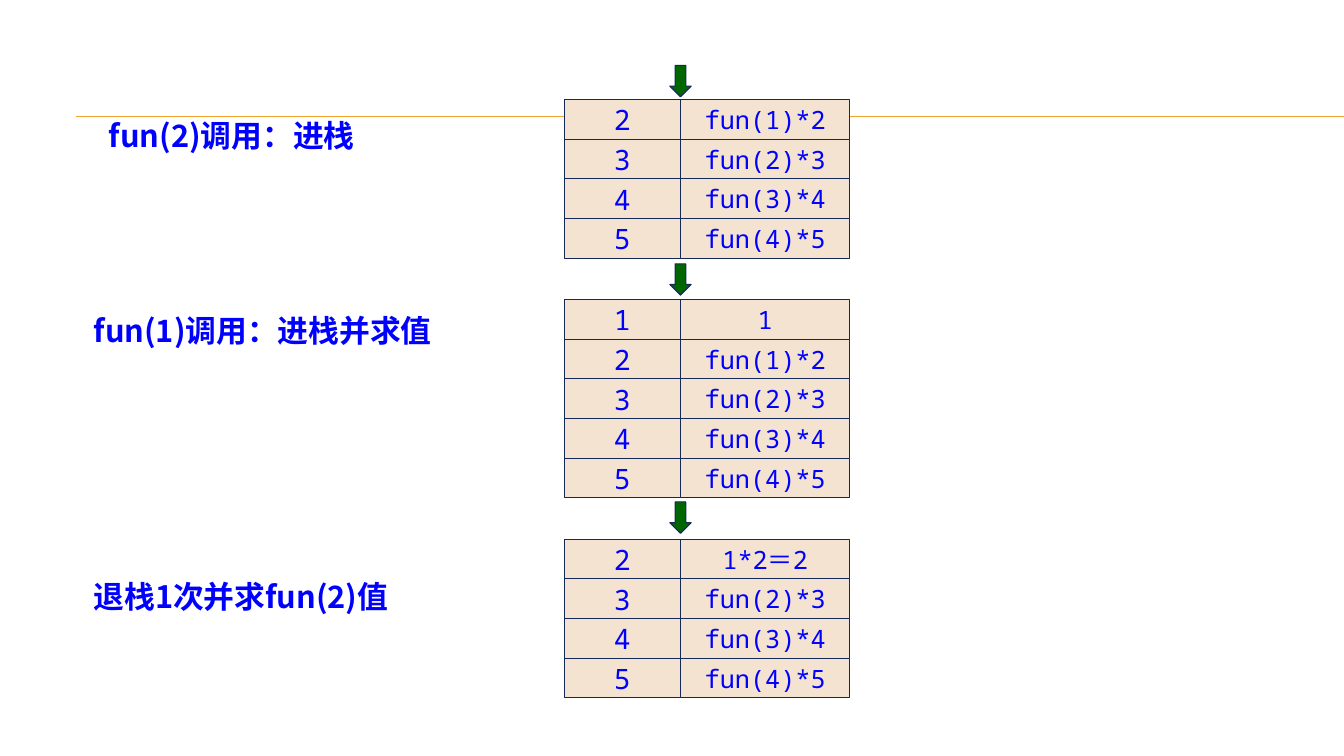
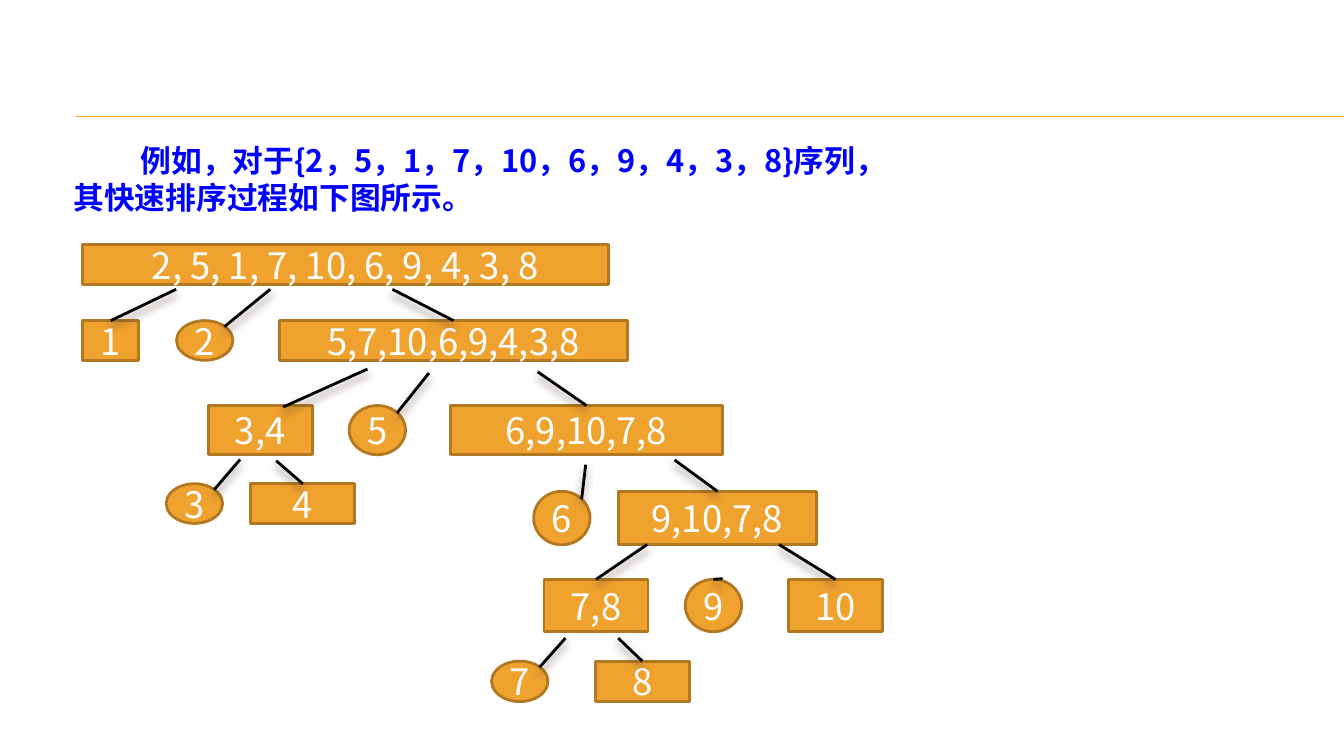
from lxml.etree import SubElement
from pptx import Presentation
from pptx.dml.color import RGBColor
from pptx.enum.shapes import MSO_CONNECTOR, MSO_SHAPE
from pptx.enum.text import MSO_ANCHOR, PP_ALIGN
from pptx.oxml import parse_xml
from pptx.oxml.ns import qn
from pptx.util import Cm, Pt

NS = 'xmlns:a="http://schemas.openxmlformats.org/drawingml/2006/main"'
SANS, MONO = "Noto Sans CJK SC", "Noto Sans Mono"
BLUE, WHITE, BLACK = "0000FF", "FFFFFF", "000000"
GOLD, BROWN, CREAM = "F0A22E", "B27822", "F5E3D1"
GREEN, NAVY, SHADE = "006600", "152958", "4E3B30"

HEAD = {"size": Pt(22), "bold": True, "name": SANS}
KEY = {"size": Pt(20), "name": MONO}
CALL = {"size": Pt(18), "name": MONO}
NODE = {"size": Pt(26), "name": SANS}
TIGHT = {"margin_left": 0, "margin_right": 0, "margin_top": 0,
         "margin_bottom": 0, "vertical_anchor": MSO_ANCHOR.MIDDLE,
         "word_wrap": False}
INSET = {"margin_left": Cm(0.3), "margin_right": Cm(0.3),
         "margin_top": Cm(0.24), "margin_bottom": Cm(0.15), "word_wrap": True}

RECT, OVAL = MSO_SHAPE.RECTANGLE, MSO_SHAPE.OVAL
PORTS = {RECT: (0.5, 0), OVAL: (0.85, 0.15)}

COL_A, COL_B, ROW = 2.93, 4.27, 1.0
STACK_X, STACK_Y, STACK_GAP = 14.22, 2.51, 1.04

BASE = [("3", "fun(2)*3"), ("4", "fun(3)*4"), ("5", "fun(4)*5")]
TWO = ("2", "fun(1)*2")
# label, its left, its drop below the stack top, arrow lift, stack rows
STEPS = [
    ("fun(2)调用：进栈", 2.49, 0.31, 0.86, [TWO] + BASE),
    ("fun(1)调用：进栈并求值", 2.11, 0.19, 0.9, [("1", "1"), TWO] + BASE),
    ("退栈1次并求fun(2)值", 2.11, 0.84, 0.94, [("2", "1*2＝2")] + BASE),
]

# left, top, height, then nodes: form, x, width, text, branch start, own port
SPLITS = [
    (2.08, 8.08, 1.0, [
        (RECT, 0, 1.42, "1", (2.36, -0.79)),
        (OVAL, 2.37, 1.42, "2", (4.73, -0.79)),
        (RECT, 4.97, 8.76, "5,7,10,6,9,4,3,8", (7.81, -0.79))]),
    (5.25, 10.22, 1.24, [
        (RECT, 0, 2.62, "3,4", (4.01, -0.92), (0.72, 0.03)),
        (OVAL, 3.55, 1.42, "5", (5.56, -0.82)),
        (RECT, 6.1, 6.86, "6,9,10,7,8", (8.3, -0.85))]),
    (4.19, 12.19, 1.0, [
        (OVAL, 0, 1.42, "3", (1.86, -0.61)),
        (RECT, 2.13, 2.62, "4", (2.77, -0.58))]),
    (13.45, 12.38, 1.35, [
        (OVAL, 0, 1.42, "6", (1.31, -0.67)),
        (RECT, 2.14, 4.98, "9,10,7,8", (3.55, -0.79))]),
    (13.71, 14.6, 1.32, [
        (RECT, 0, 2.62, "7,8", (2.6, -0.88)),
        (OVAL, 3.56, 1.42, "9", (4.5, -0.02), (0.5, 0)),
        (RECT, 6.16, 2.37, "10", (5.92, -0.88))]),
    (12.39, 16.66, 1.02, [
        (OVAL, 0, 1.42, "7", (1.86, -0.58)),
        (RECT, 2.61, 2.37, "8", (3.19, -0.58))]),
]


def put(item, values):
    """Set every attribute named in values."""
    for name, value in values.items():
        setattr(item, name, value)


def paint(part, code):
    """Give a fill or a font the colour of a hex string."""
    if hasattr(part, "solid"):
        part.solid()
        part = part.fore_color
    else:
        part = part.color
    part.rgb = RGBColor.from_string(code)


def write(frame, text, style, code, align):
    para = frame.paragraphs[0]
    para.alignment = align
    run = para.add_run()
    run.text = text
    put(run.font, style)
    paint(run.font, code)
    SubElement(run.font._element, qn("a:ea"), typeface=style["name"])
    return para


def form(shapes, kind, box, fill, edge, width):
    shape = shapes.add_shape(kind, *map(Cm, box))
    shape.shadow.inherit = False
    paint(shape.fill, fill)
    paint(shape.line.fill, edge)
    shape.line.width = Pt(width)
    return shape


def link(shapes, start, end, code, width, shade=False):
    line = shapes.add_connector(MSO_CONNECTOR.STRAIGHT, *map(Cm, start + end))
    paint(line.line.fill, code)
    line.line.width = Pt(width)
    glow = (f'<a:outerShdw blurRad="{Pt(6)}" dist="{Pt(4)}" dir="5400000" '
            f'rotWithShape="0"><a:srgbClr val="{SHADE}"><a:alpha val="60000"/>'
            '</a:srgbClr></a:outerShdw>') if shade else ""
    line._element.spPr.append(
        parse_xml(f"<a:effectLst {NS}>{glow}</a:effectLst>"))


def page(deck):
    """Add a blank slide with the shared double rule."""
    slide = deck.slides.add_slide(deck.slide_layouts[6])
    for y in (2.93, 2.94):
        link(slide.shapes, (1.91, y), (33.87, y), GOLD, 0.75)
    return slide.shapes


def label(shapes, box, text):
    frame = shapes.add_textbox(*map(Cm, box)).text_frame
    frame.word_wrap = True
    write(frame, text, HEAD, BLUE, PP_ALIGN.JUSTIFY)


def block(shapes, kind, box, text, look, style, code):
    """Draw a shape with centred text; look is fill, edge and edge width."""
    frame = form(shapes, kind, box, *look).text_frame
    put(frame, TIGHT)
    write(frame, text, style, code, PP_ALIGN.CENTER)


def node(shapes, kind, box, text):
    block(shapes, kind, box, text, (GOLD, BROWN, 2), NODE, WHITE)


def stack(shapes, left, top, lift, rows):
    """Place a call stack with the arrow that points down to it."""
    form(shapes, MSO_SHAPE.DOWN_ARROW,
         (left + COL_A - 0.27, top - lift, 0.54, 0.79), GREEN, NAVY, 0.75)
    columns = ((left, COL_A, KEY), (left + COL_A, COL_B, CALL))
    for index, texts in enumerate(rows):
        for text, (x, wide, style) in zip(texts, columns):
            block(shapes, RECT, (x, top + index * ROW, wide, ROW), text,
                  (CREAM, NAVY, 0.75), style, BLUE)


def split(shapes, left, top, high, nodes):
    """Group one row of parts with the branches that lead to them."""
    group = shapes.add_group_shape().shapes
    for kind, x, wide, text, *_ in nodes:
        node(group, kind, (left + x, top, wide, high), text)
    for kind, x, wide, _, start, *port in nodes:
        across, down = port[0] if port else PORTS[kind]
        link(group, (left + start[0], top + start[1]),
             (left + x + across * wide, top + down * high), BLACK, 2, True)


def intro(shapes, box, text):
    shape = form(shapes, RECT, box, WHITE, WHITE, 0.75)
    shape.line.fill.background()
    put(shape.text_frame, INSET)
    shape.text_frame.vertical_anchor = MSO_ANCHOR.TOP
    para = write(shape.text_frame, text, HEAD, BLUE, PP_ALIGN.LEFT)
    para._p.get_or_add_pPr().set("indent", str(Pt(48)))


def calls(deck):
    shapes = page(deck)
    top = STACK_Y
    for text, left, drop, lift, rows in STEPS:
        stack(shapes, STACK_X, top, lift, rows)
        label(shapes, (left, top + drop, 11.1, 1.19), text)
        top += ROW * len(rows) + STACK_GAP


def sort(deck):
    shapes = page(deck)
    intro(shapes, (1.55, 3.33, 21.01, 2.36),
          "例如，对于{2，5，1，7，10，6，9，4，3，8}序列，"
          "其快速排序过程如下图所示。")
    node(shapes, RECT, (2.08, 6.17, 13.26, 1.0),
         "2, 5, 1, 7, 10, 6, 9, 4, 3, 8")
    for row in SPLITS:
        split(shapes, *row)


def main():
    deck = Presentation()
    put(deck, {"slide_width": Cm(33.87), "slide_height": Cm(19.05)})
    calls(deck)
    sort(deck)
    deck.save("out.pptx")


if __name__ == "__main__":
    main()
